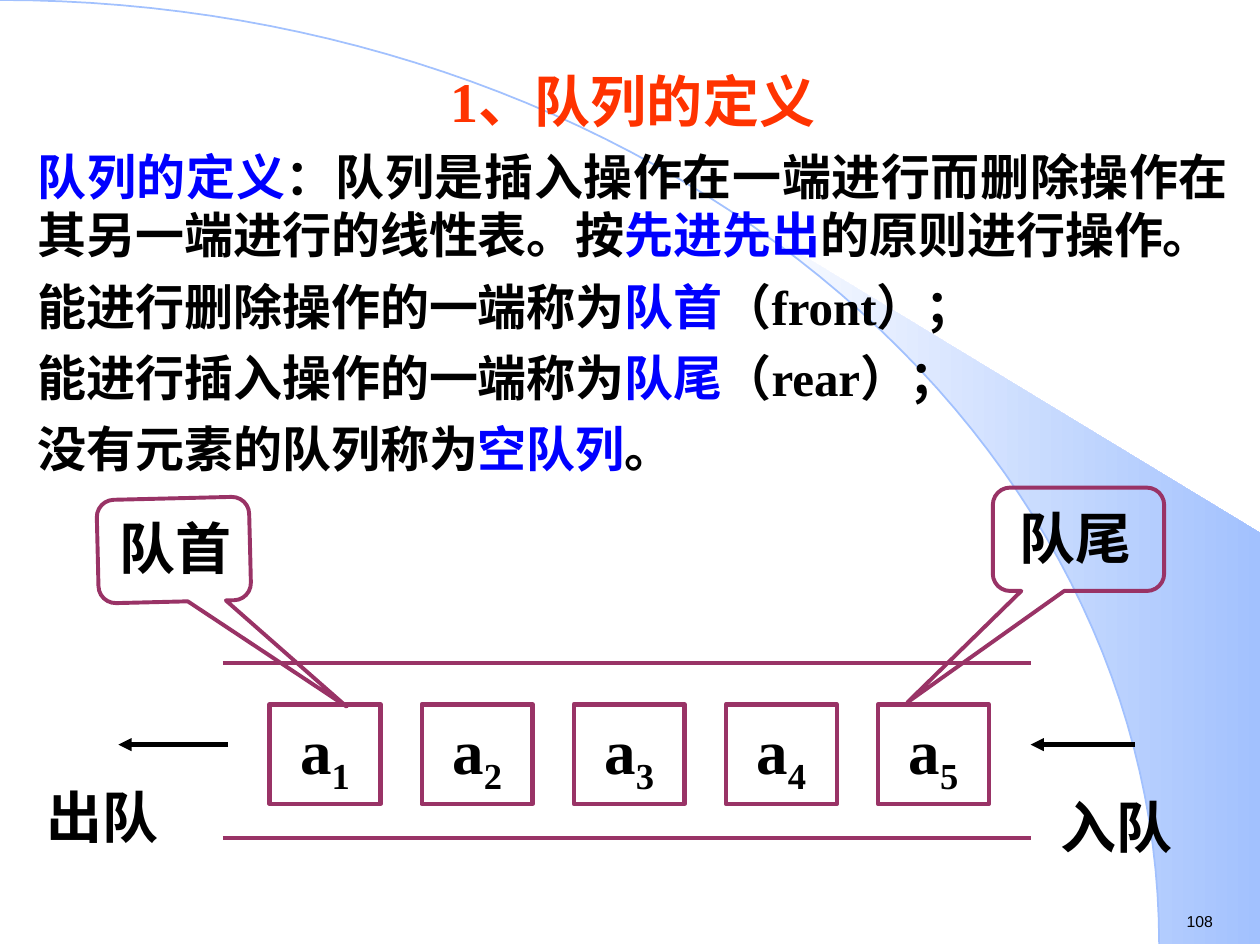
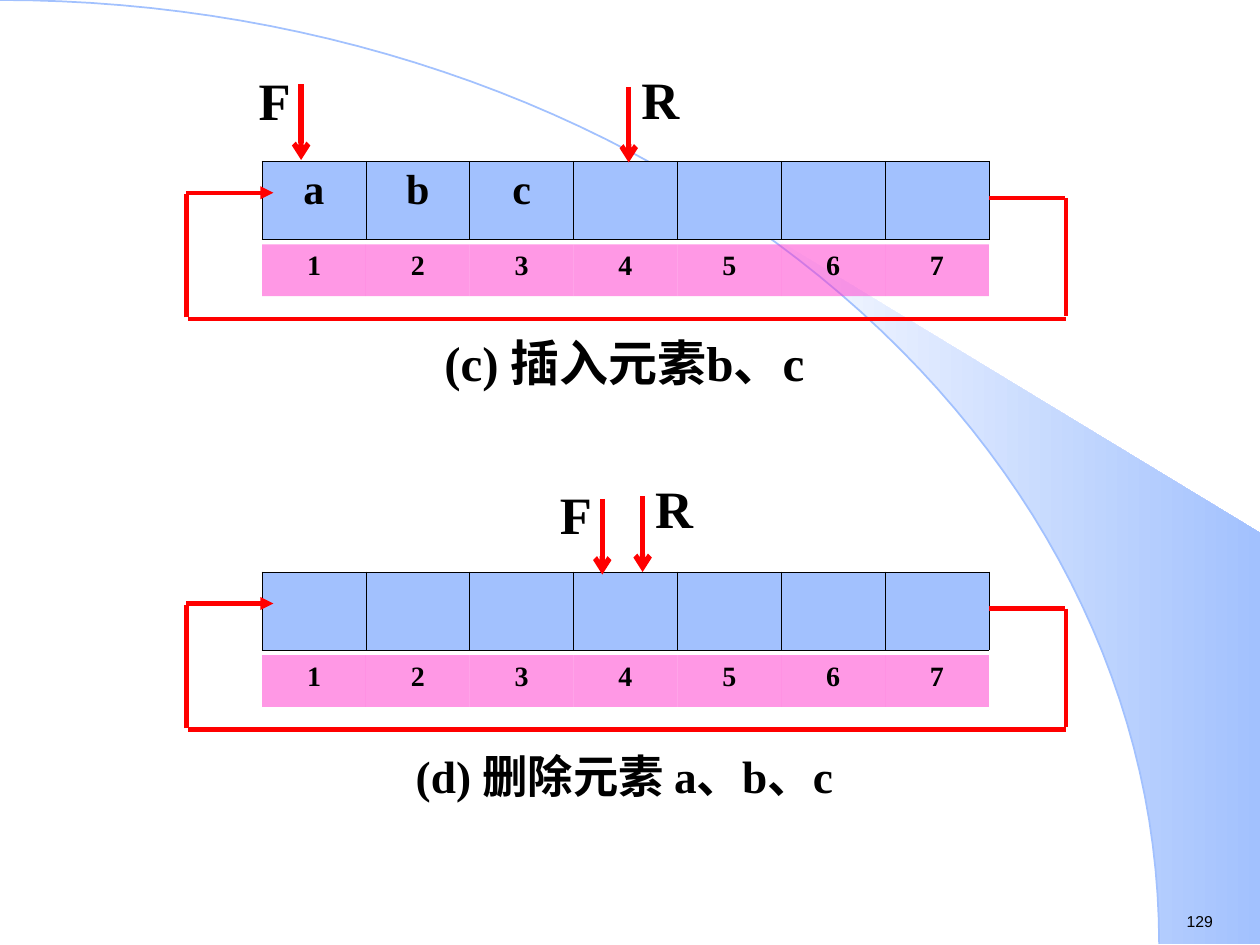
from dataclasses import dataclass
from math import cos, radians, sin

from lxml.etree import SubElement
from pptx import Presentation
from pptx.dml.color import RGBColor
from pptx.enum.shapes import MSO_CONNECTOR, MSO_SHAPE
from pptx.enum.text import PP_ALIGN
from pptx.oxml.ns import qn
from pptx.util import Inches, Pt


@dataclass(frozen=True)
class Theme:
    black: str = "000000"
    white: str = "FFFFFF"
    blue: str = "0000FF"
    orange: str = "FF3300"
    red: str = "FF0000"
    plum: str = "993366"
    sky: str = "A2C1FE"
    pink: str = "FF33CC"
    serif: str = "Times New Roman"
    sans: str = "Arial"
    han: str = "Noto Sans CJK SC"
    head: float = 32
    body: float = 28
    item: float = 36
    mark: float = 30
    cell: float = 24
    index: float = 16
    page: float = 9


def rgb(code):
    return RGBColor.from_string(code)


class Deck:
    def __init__(self, theme):
        self.theme = theme
        self.prs = Presentation()
        self.prs.slide_width, self.prs.slide_height = Inches(10), Inches(7.5)
        self.slide = None

    def page(self, number):
        self.slide = self.prs.slides.add_slide(self.prs.slide_layouts[6])
        self.backdrop()
        self.text(number, (9.32, 7.19, 0.6, 0.25), self.theme.page, font=self.theme.sans, bold=False)

    def backdrop(self):
        def arc(start):
            angles = [radians(start + (90 - start) * i / 60) for i in range(61)]
            return [(9.2 * sin(a), 7.49 * (1 - cos(a))) for a in angles]

        wedge = self.outline(arc(39.8) + [(10, 7.49), (10, 4.23)], True)
        wedge.fill.gradient()
        wedge.fill.gradient_angle = 0
        for stop, color in zip(wedge.fill.gradient_stops, (self.theme.white, self.theme.sky)):
            stop.color.rgb = rgb(color)
        wedge.line.fill.background()
        curve = self.outline(arc(0), False)
        curve.fill.background()
        self.stroke(curve, self.theme.sky, 1)

    def outline(self, points, close):
        spots = [(Inches(x), Inches(y)) for x, y in points]
        pen = self.slide.shapes.build_freeform(*spots[0])
        pen.add_line_segments(spots[1:], close=close)
        shape = pen.convert_to_shape()
        shape.shadow.inherit = False
        return shape

    def stroke(self, shape, color, width):
        shape.line.color.rgb = rgb(color)
        shape.line.width = Pt(width)

    def style(self, para, size, color=None, font=None, bold=True, align=None):
        para.alignment = align
        para.font.size = Pt(size)
        para.font.bold = bold
        para.font.name = font or self.theme.serif
        para.font.color.rgb = rgb(color or self.theme.black)

    def text(self, words, box, size, inset=True, lead=None, **look):
        frame = self.slide.shapes.add_textbox(*map(Inches, box)).text_frame
        frame.word_wrap = True
        if not inset:
            frame.margin_left = frame.margin_right = frame.margin_top = frame.margin_bottom = 0
        para = frame.paragraphs[0]
        para.text = words
        if lead:
            para.line_spacing = Pt(lead)
        self.style(para, size, **look)
        return frame

    def runs(self, para, parts):
        for words, color in parts:
            run = para.add_run()
            run.text = words
            run.font.color.rgb = rgb(color)

    def item(self, box, letter, index):
        shape = self.shape(MSO_SHAPE.RECTANGLE, box, 2.5)
        shape.fill.solid()
        shape.fill.fore_color.rgb = rgb(self.theme.white)
        frame = shape.text_frame
        frame.word_wrap = True
        para = frame.paragraphs[0]
        para.add_run().text = letter
        low = para.add_run()
        low.text = index
        low._r.get_or_add_rPr().set("baseline", "-25000")
        self.style(para, self.theme.item, align=PP_ALIGN.CENTER)

    def shape(self, kind, box, width):
        shape = self.slide.shapes.add_shape(kind, *map(Inches, box))
        shape.shadow.inherit = False
        self.stroke(shape, self.theme.plum, width)
        return shape

    def callout(self, box, tip, turn=0):
        shape = self.shape(MSO_SHAPE.ROUNDED_RECTANGULAR_CALLOUT, box, 2.25)
        shape.fill.background()
        shape.rotation = turn
        for i, value in enumerate((*tip, 0.167)):
            shape.adjustments[i] = value

    def line(self, start, end, color, width=2.5, tail=None):
        line = self.slide.shapes.add_connector(MSO_CONNECTOR.STRAIGHT, *map(Inches, (*start, *end)))
        self.stroke(line, color, width)
        props = line._element.spPr
        if tail:
            SubElement(props.find(qn("a:ln")), qn("a:tailEnd"), type=tail)
        SubElement(props, qn("a:effectLst"))

    def table(self, values, box, size, fill, border=None, alpha=None):
        table = self.slide.shapes.add_table(1, len(values), *map(Inches, box)).table
        table.first_row = table.horz_banding = False
        for cell, value in zip(table.iter_cells(), values):
            props = cell._tc.get_or_add_tcPr()
            for side in ("a:lnL", "a:lnR", "a:lnT", "a:lnB"):
                edge = SubElement(props, qn(side), w=str(Pt(0.45)))
                if border:
                    SubElement(SubElement(edge, qn("a:solidFill")), qn("a:srgbClr"), val=border)
                else:
                    SubElement(edge, qn("a:noFill"))
            cell.fill.solid()
            cell.fill.fore_color.rgb = rgb(fill)
            if alpha:
                SubElement(props.find(qn("a:solidFill"))[0], qn("a:alpha"), val=str(alpha * 1000))
            cell.text = value
            self.style(cell.text_frame.paragraphs[0], size, align=PP_ALIGN.CENTER)

    def pointer(self, name, x, top, shift):
        self.line((x, top), (x, top + 0.6), self.theme.red, 3, "arrow")
        self.text(name, (x + shift[0], top + shift[1], 0.44, 0.48), self.theme.mark,
                  inset=False, lead=33, align=PP_ALIGN.CENTER)

    def ring(self, top, values, front, rear, caption, size):
        theme = self.theme
        self.table(values, (2.08, top, 5.77, 0.62), theme.cell, theme.sky, theme.black)
        self.table("1234567", (2.08, top + 0.66, 5.77, 0.41), theme.index, theme.pink, alpha=50)
        self.pointer("F", *front, (-0.43, -0.09))
        self.pointer("R", *rear, (0.03, -0.12))
        for start, end, tail in (
            ((7.85, 0.29), (8.45, 0.29), None),
            ((8.46, 0.29), (8.46, 1.23), None),
            ((8.46, 1.25), (1.49, 1.25), None),
            ((1.48, 1.24), (1.48, 0.26), None),
            ((1.48, 0.25), (2.17, 0.25), "triangle"),
        ):
            self.line((start[0], top + start[1]), (end[0], top + end[1]), theme.red, tail=tail)
        frame = self.text("", (2.88, top + 1.37, 4.15, 0.52), size,
                          inset=False, lead=33, align=PP_ALIGN.CENTER)
        for words, font in zip(caption, (theme.serif, theme.han, theme.serif)):
            run = frame.paragraphs[0].add_run()
            run.text = words
            run.font.name = font


def define(deck):
    theme = deck.theme
    deck.page("108")
    frame = deck.text("1、队列的定义", (0.2, 0.48, 9.65, 3.35), theme.head,
                      color=theme.orange, align=PP_ALIGN.CENTER)
    black, blue = theme.black, theme.blue
    for i, parts in enumerate((
        (("队列的定义", blue), ("：队列是插入操作在一端进行而删除操作在其另一端进行的线性表。按", black),
         ("先进先出", blue), ("的原则进行操作。", black)),
        (("能进行删除操作的一端称为", black), ("队首", blue), ("（front）；", black)),
        (("能进行插入操作的一端称为", black), ("队尾", blue), ("（rear）；", black)),
        (("没有元素的队列称为", black), ("空队列", blue), ("。", black)),
    )):
        para = frame.add_paragraph()
        para.space_before = Pt(7)
        deck.style(para, theme.body, align=PP_ALIGN.LEFT if i else PP_ALIGN.JUSTIFY)
        deck.runs(para, parts)
    for i in range(5):
        deck.item((2.14 + 1.207 * i, 5.59, 0.88, 0.79), "a", str(i + 1))
    for y in (5.26, 6.65):
        deck.line((1.77, y), (8.18, y), theme.plum)
    for right, left in ((1.81, 0.94), (9.01, 8.18)):
        deck.line((right, 5.91), (left, 5.91), black, tail="triangle")
    deck.callout((7.88, 3.87, 1.36, 0.82), (-0.999, 1.579))
    deck.callout((0.97, 3.76, 0.82, 1.21), (-1.556, 1.108), 268.6)
    for words, x, y in (("队尾", 7.99, 3.95), ("队首", 0.85, 4.03),
                        ("入队", 8.32, 6.24), ("出队", 0.27, 6.16)):
        deck.text(words, (x, y, 1.4, 0.64), theme.head)


def cycle(deck):
    deck.page("129")
    deck.ring(1.28, ["a", "b", "c"] + [""] * 4, (2.39, 0.67), (4.99, 0.69),
              ("(c) ", "插入元素", "b、c"), 28)
    deck.ring(4.54, [""] * 7, (4.78, 3.96), (5.1, 3.94),
              ("(d) ", "删除元素 ", "a、b、c"), 25.9)


def main():
    deck = Deck(Theme())
    define(deck)
    cycle(deck)
    deck.prs.save("out.pptx")


if __name__ == "__main__":
    main()
